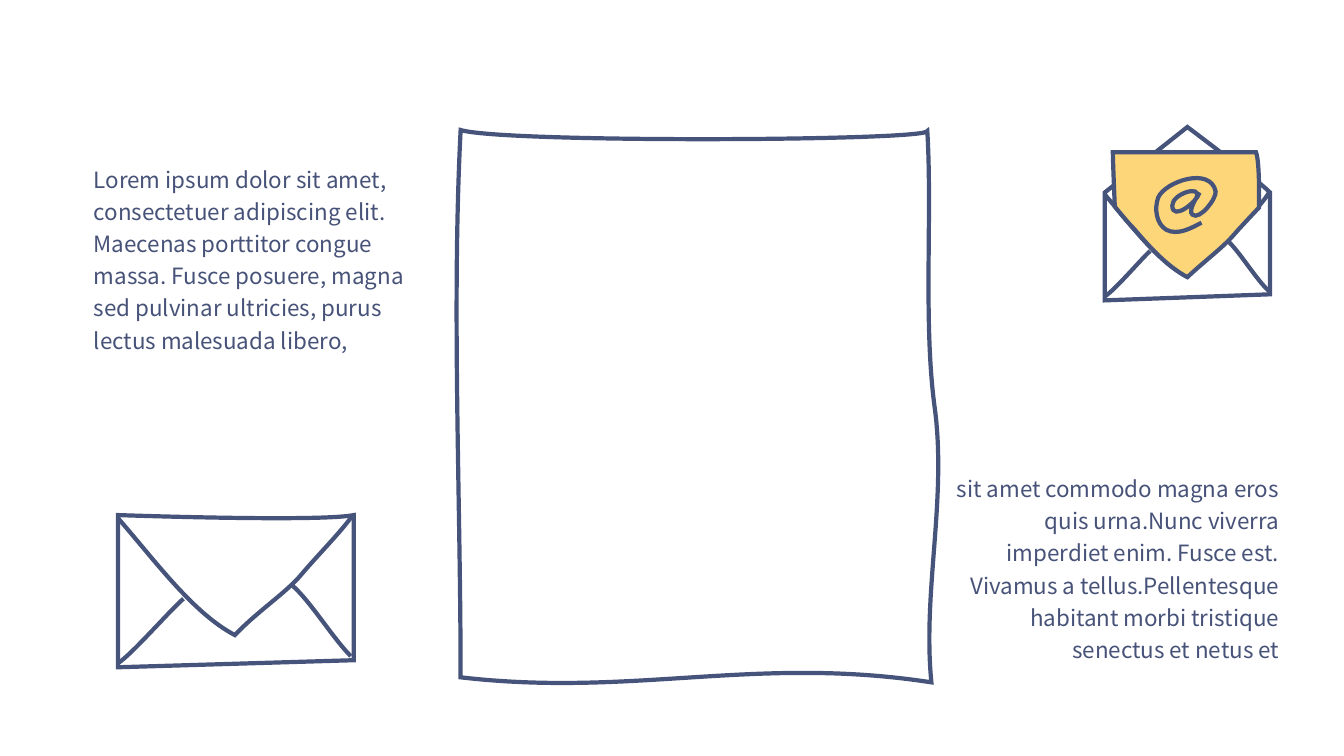
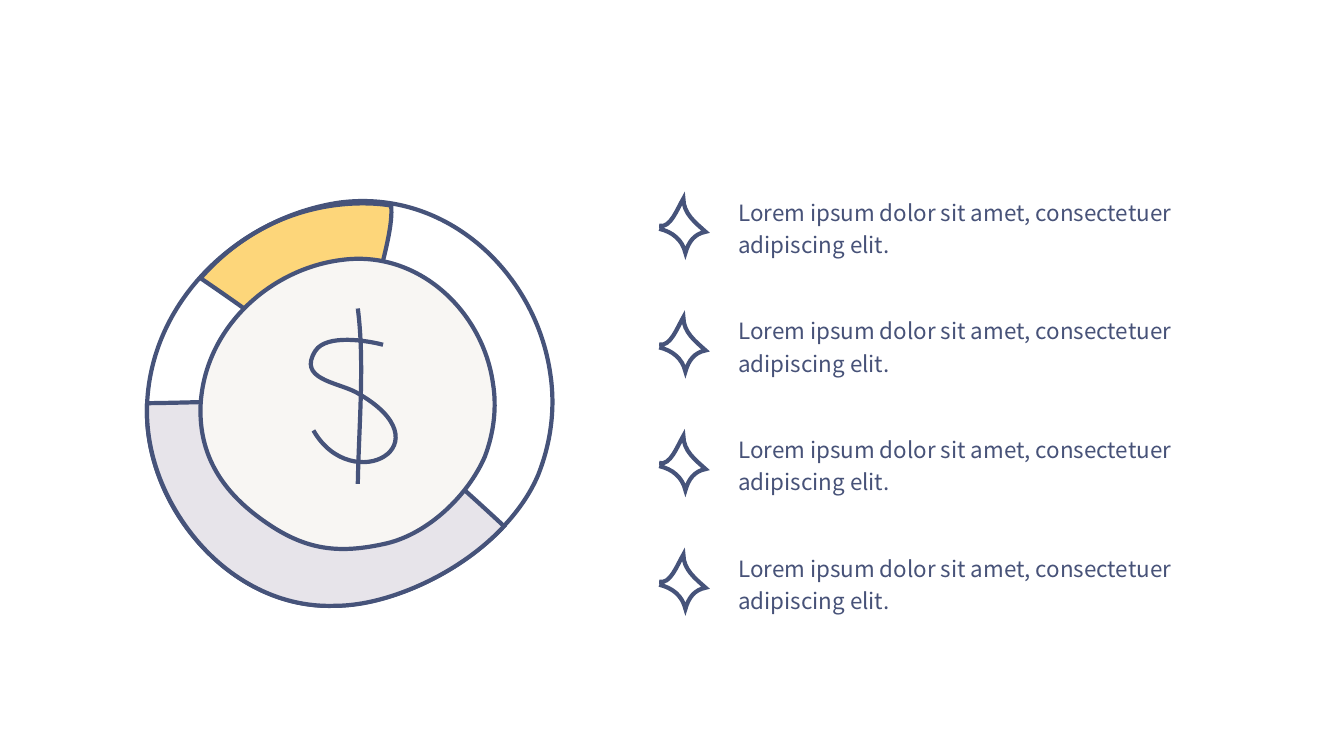
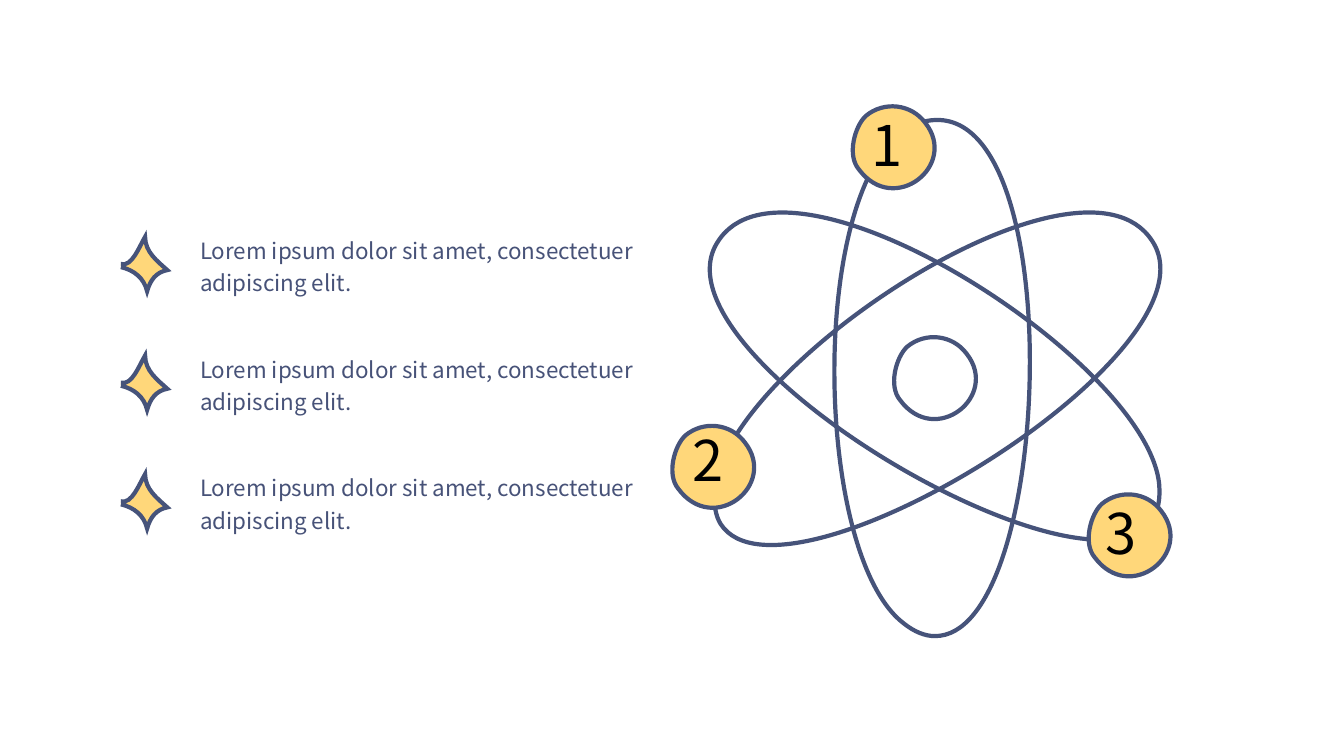
from math import cos, radians, sin

from lxml.etree import SubElement
from pptx import Presentation
from pptx.dml.color import RGBColor as Rgb
from pptx.enum.text import MSO_ANCHOR as Anchor, MSO_AUTO_SIZE as AutoSize, PP_ALIGN as Align
from pptx.oxml.ns import qn
from pptx.util import Inches, Pt

# Grid: square cells, a tenth of an inch each
COLUMNS, ROWS = 133.33, 75
CELL = Inches(0.1)
CURVE_STEPS = 32

COLORS = {
    "ink": "46537A",
    "text": "475278",
    "number": "000000",
    "letter": "FDD67A",
    "accent": "FFD77A",
    "lilac": "E7E4EA",
    "coin": "F8F6F3",
}
FONT = "Noto Sans CJK JP"
BODY = {
    "frame": {"word_wrap": True, "vertical_anchor": Anchor.MIDDLE,
              "margin_left": Inches(0.04), "margin_right": Inches(0.04),
              "margin_top": Inches(0.04), "margin_bottom": Inches(0.04)},
    "font": {"name": FONT, "size": Pt(16)},
    "leading": Pt(23),
    "color": "text",
}
NUMBER = {
    "frame": {"word_wrap": False, "vertical_anchor": Anchor.TOP},
    "font": {"name": FONT, "size": Pt(40)},
    "leading": Pt(48),
    "color": "number",
}

# Outlines: a start point, then lines (x, y) or curves (two handles and an end)
STAR = [(0, 2.7), (1.1, 3, 1.8, 1, 2.4, 0), (2.4, 1.5, 3.6, 2.4, 4.6, 3.3),
        (3.5, 3.5, 2.9, 4.3, 2.6, 5.4), (2.3, 4.1, 1.3, 3.3, 0, 3)]
BALL = [(1.3, 1), (0.2, 2, -0.6, 4.9, 0.6, 6.3), (4.1, 11, 10.5, 5.9, 7.2, 1.7),
        (5.8, -0.2, 3.1, -0.5, 1.3, 1)]
PAPER = [(92, 13), (92.1, 14, 49.9, 14.2, 45.7, 12.9), (44.8, 30.5, 45.7, 49.4, 45.7, 67.2),
         (62.9, 69.2, 74.9, 65, 92.4, 67.7), (91.5, 58.7, 94, 49.4, 92.7, 40.2),
         (91.6, 31.8, 92.5, 21.2, 92, 13)]
# Each part of a drawing: outline, then fill and offset where needed
OPEN_ENVELOPE = [
    ([(109.6, 19.1), (117.8, 12.6), (117.8, 12.6, 124.6, 17.7, 126, 19.1),
      (126, 23, 126, 29.2, 126, 29.2), (109.6, 29.8),
      (109.6, 29.8, 109.6, 19.1, 109.6, 19.1)],),
    ([(109.6, 19.3), (112.1, 22.2, 114.8, 25.9, 117.7, 27.4),
      (119.4, 25.8, 121.3, 24.5, 122.3, 23.3), (123.5, 21.9, 125.2, 20.3, 125.9, 19.1)],),
    ([(109.6, 29.4), (110.6, 28.8, 113.3, 25.6, 114.1, 24.9)],),
    ([(125.9, 28.9), (124.6, 27.7, 123, 25, 121.8, 23.9)],),
    ([(110.4, 15.1), (110.4, 15.9, 110.6, 20.5, 110.6, 20.5),
      (110.6, 20.5, 111.8, 22, 112.5, 22.7), (114.2, 24.7, 115.9, 26.5, 117.8, 27.5),
      (119.5, 25.9, 121.4, 24.5, 122.4, 23.3), (123.1, 22.5, 124.9, 20.6, 124.9, 20.6),
      (124.9, 20.6, 125, 16, 124.6, 15.1),
      (124.6, 15.1, 110.4, 15.1, 110.4, 15.1)], "letter"),
    # At sign
    ([(118.7, 19.6), (119.3, 18.3, 116.3, 19.2, 116.3, 20.4),
      (116.3, 22, 118.8, 20, 119, 19.1), (118.8, 19.5, 117.8, 20.9, 118.3, 21.3),
      (119, 21.9, 120.7, 19.7, 120.6, 19), (120.1, 16.5, 115.6, 18, 114.9, 19.6),
      (114.5, 20.7, 114.7, 22.2, 115.7, 22.8), (116.9, 23.4, 118.2, 22.6, 119.2, 22.1)],),
]
CLOSED_ENVELOPE = [
    ([(11.7, 51.1), (11.7, 51.1, 31.6, 51.8, 35.1, 51.1), (35.1, 56.5, 35.1, 65.5, 35.1, 65.5),
      (11.7, 66.2), (11.7, 66.2, 11.7, 51.1, 11.7, 51.1)],),
    ([(11.7, 51.4), (15.3, 55.5, 19.1, 60.8, 23.3, 63), (25.6, 60.6, 28.4, 58.8, 29.9, 57),
      (31.5, 55.1, 33.9, 52.7, 35, 51.1)],),
    ([(11.7, 65.8), (13.1, 64.9, 17, 60.4, 18.2, 59.4)],),
    ([(34.8, 65.1), (33, 63.3, 30.7, 59.5, 28.9, 58)],),
]
RING = [
    ([(19.9, 27.6), (24, 30.4, 30.6, 35, 35.3, 39.5), (36.3, 35.3, 36.9, 30.9, 37.8, 26.7),
      (38.2, 25, 39, 22.1, 38.8, 20.4), (38.8, 20.4, 28.2, 18.2, 19.9, 27.6)], "letter"),
    ([(54.6, 37.1), (53.2, 27.2, 44.4, 18.7, 33.7, 20.1), (24.1, 21.5, 15.1, 29.4, 14.6, 40),
      (14.1, 50, 22.7, 60.4, 33.2, 60.1), (41, 59.9, 50.4, 54.2, 53.4, 47.1),
      (54.7, 43.8, 55.1, 40.4, 54.6, 37.1)],),
    ([(35.4, 39.3), (35.4, 39.3, 22.9, 39.9, 14.6, 40), (14.4, 44.5, 16, 49, 18.8, 52.7),
      (22.2, 57.2, 27.4, 60.3, 33.2, 60.1), (35.6, 60.1, 38.1, 59.5, 40.6, 58.5),
      (44.1, 57.1, 47.5, 54.9, 50, 52.2), (43, 45.7, 35.4, 39.3, 35.4, 39.3)], "lilac"),
    ([(48.9, 38), (47.9, 30.9, 41.5, 24.7, 33.8, 25.8), (26.8, 26.7, 20.3, 32.5, 19.9, 40.2),
      (19.7, 45.3, 22.2, 48.9, 26.2, 51.7), (30.3, 54.6, 33.6, 55, 38.4, 53.9),
      (42.5, 52.9, 46.4, 49.2, 48.1, 45.3), (49, 42.9, 49.3, 40.4, 48.9, 38)], "coin"),
]
DOLLAR = [
    ([(38, 34.2), (36.5, 33.8, 32.4, 33.1, 31.3, 34.8), (29.5, 37.6, 33.4, 37.9, 35.3, 38.9),
      (44.7, 44.1, 34.9, 49.4, 31.1, 42.7)],),
    ([(35.5, 30.6), (36.2, 36, 35.6, 42.2, 35.5, 48)],),
]
ATOM = [
    ([(92.7, 63.1), (104.3, 63.3, 106.2, 11.9, 93, 11.9), (80.1, 11.9, 79.9, 54.3, 89.6, 61.8),
      (90.7, 62.7, 91.8, 63.1, 92.7, 63.1)],),
    ([(71.5, 52), (77.8, 61.7, 121.6, 34.9, 114.3, 23.9),
      (107.2, 13, 71.8, 36.4, 70.9, 48.7), (70.8, 50.1, 71, 51.2, 71.5, 52)],),
    ([(114.4, 51.4), (108.3, 61.2, 64, 35.1, 71.2, 24),
      (78.1, 13, 113.9, 35.8, 115, 48.1), (115.1, 49.5, 114.9, 50.6, 114.4, 51.4)],),
    # Nucleus
    (BALL, None, 88.7, 33.4),
]

LEFT_TEXT = ("Lorem ipsum dolor sit amet, consectetuer adipiscing elit. Maecenas porttitor congue "
             "massa. Fusce posuere, magna sed pulvinar ultricies, purus lectus malesuada libero,")
RIGHT_TEXT = ("sit amet commodo magna eros quis urna.Nunc viverra imperdiet enim. Fusce est. "
              "Vivamus a tellus.Pellentesque habitant morbi tristique senectus et netus et")
POINT_TEXT = "Lorem ipsum dolor sit amet, consectetuer adipiscing elit."


def set_all(target, values):
    for name, value in values.items():
        setattr(target, name, value)


def spin(point, degrees):
    """Turn a point clockwise about the slide's corner."""
    (x, y), angle = point, radians(degrees)
    return x * cos(angle) - y * sin(angle), x * sin(angle) + y * cos(angle)


def extent(segments):
    """Left, top, right and bottom of an outline, curves included."""
    points = [segments[0][0]]
    for segment in segments[1:]:
        if len(segment) == 1:
            points += segment
            continue
        knots = [points[-1], *segment]
        for step in range(1, CURVE_STEPS + 1):
            t = step / CURVE_STEPS
            weights = ((1 - t) ** 3, 3 * t * (1 - t) ** 2, 3 * t * t * (1 - t), t ** 3)
            points.append(tuple(sum(w * knot[axis] for w, knot in zip(weights, knots))
                                for axis in (0, 1)))
    across, down = zip(*points)
    return min(across), min(down), max(across), max(down)


class Sketchbook:
    """Holds the hand-drawn style and the current slide."""

    def __init__(self):
        self.deck = Presentation()
        self.deck.slide_width = int(COLUMNS * CELL)
        self.deck.slide_height = int(ROWS * CELL)
        self.slide = None

    def new_slide(self):
        self.slide = self.deck.slides.add_slide(self.deck.slide_layouts[6])

    def outline(self, outline, fill=None, column=0, row=0, turn=0):
        segments = [[spin(((x + column) * CELL, (y + row) * CELL), -turn)
                     for x, y in zip(segment[::2], segment[1::2])] for segment in outline]
        left, top, right, bottom = (round(edge) for edge in extent(segments))
        builder = self.slide.shapes.build_freeform(left, top, scale=1.0)
        builder.add_line_segments([(right, bottom)], close=False)
        stroke = builder.convert_to_shape()

        # Curves inside the frame
        track = stroke.element.find(".//" + qn("a:path"))
        for step in list(track):
            track.remove(step)
        for index, segment in enumerate(segments):
            tag = "a:moveTo" if index == 0 else "a:lnTo" if len(segment) == 1 else "a:cubicBezTo"
            step = SubElement(track, qn(tag))
            for x, y in segment:
                SubElement(step, qn("a:pt"), x=str(round(x - left)), y=str(round(y - top)))
        if outline[0] == outline[-1][-2:]:
            SubElement(track, qn("a:close"))

        # Turn about the middle of the frame
        middle = spin(((left + right) / 2, (top + bottom) / 2), turn)
        set_all(stroke, {"left": round(middle[0] - (right - left) / 2),
                         "top": round(middle[1] - (bottom - top) / 2),
                         "rotation": turn})
        stroke.shadow.inherit = False
        if fill:
            stroke.fill.solid()
            stroke.fill.fore_color.rgb = Rgb.from_string(COLORS[fill])
        else:
            stroke.fill.background()
        stroke.line.color.rgb = Rgb.from_string(COLORS["ink"])
        stroke.line.width = Pt(3)
        # Pointed corners
        SubElement(stroke.element.find(".//" + qn("a:ln")), qn("a:miter"), lim="800000")
        return stroke

    def drawing(self, parts, turn=0):
        self.group([self.outline(*part, turn=turn) for part in parts])

    def group(self, members):
        self.slide.shapes.add_group_shape(members)

    def text(self, words, column, row, columns, rows, style=BODY, align=Align.LEFT):
        box = self.slide.shapes.add_textbox(
            *(round(length * CELL) for length in (column, row, columns, rows)))
        frame = box.text_frame
        set_all(frame, style["frame"])
        frame.auto_size = AutoSize.SHAPE_TO_FIT_TEXT
        paragraph = frame.paragraphs[0]
        set_all(paragraph, {"alignment": align, "line_spacing": style["leading"]})
        run = paragraph.add_run()
        run.text = words
        set_all(run.font, style["font"])
        run.font.color.rgb = Rgb.from_string(COLORS[style["color"]])
        return box

    def star_list(self, count, column, row, fill=None):
        for index in range(count):
            top = row + index * 11.77
            self.outline(STAR, fill, column, top)
            self.text(POINT_TEXT, column + 7.45, top - 0.95, 48.2, 7.3)

    def electron(self, number, column, row, shift, lift):
        ball = self.outline(BALL, "accent", column, row)
        label = self.text(number, column + shift, row + lift, 4.6, 7.7, NUMBER)
        self.group([ball, label])


def main():
    book = Sketchbook()

    # Letter
    book.new_slide()
    book.drawing(OPEN_ENVELOPE)
    book.drawing(CLOSED_ENVELOPE)
    book.text(LEFT_TEXT, 8.9, 15.5, 33.8, 20)
    book.text(RIGHT_TEXT, 93.5, 46.2, 33.8, 20, align=Align.RIGHT)
    book.outline(PAPER, turn=15)

    # Money ring
    book.new_slide()
    book.drawing(RING, turn=332.6)
    book.drawing(DOLLAR, turn=322.6)
    book.star_list(4, 65.4, 19.7)

    # Atom
    book.new_slide()
    book.drawing(ATOM)
    for electron in (("1", 84.6, 10.5, 0.9, 0), ("2", 66.7, 42.2, 1, -0.5),
                     ("3", 108, 49, 0.7, 0)):
        book.electron(*electron)
    book.star_list(3, 12, 23.5, "accent")

    book.deck.save("out.pptx")


if __name__ == "__main__":
    main()
